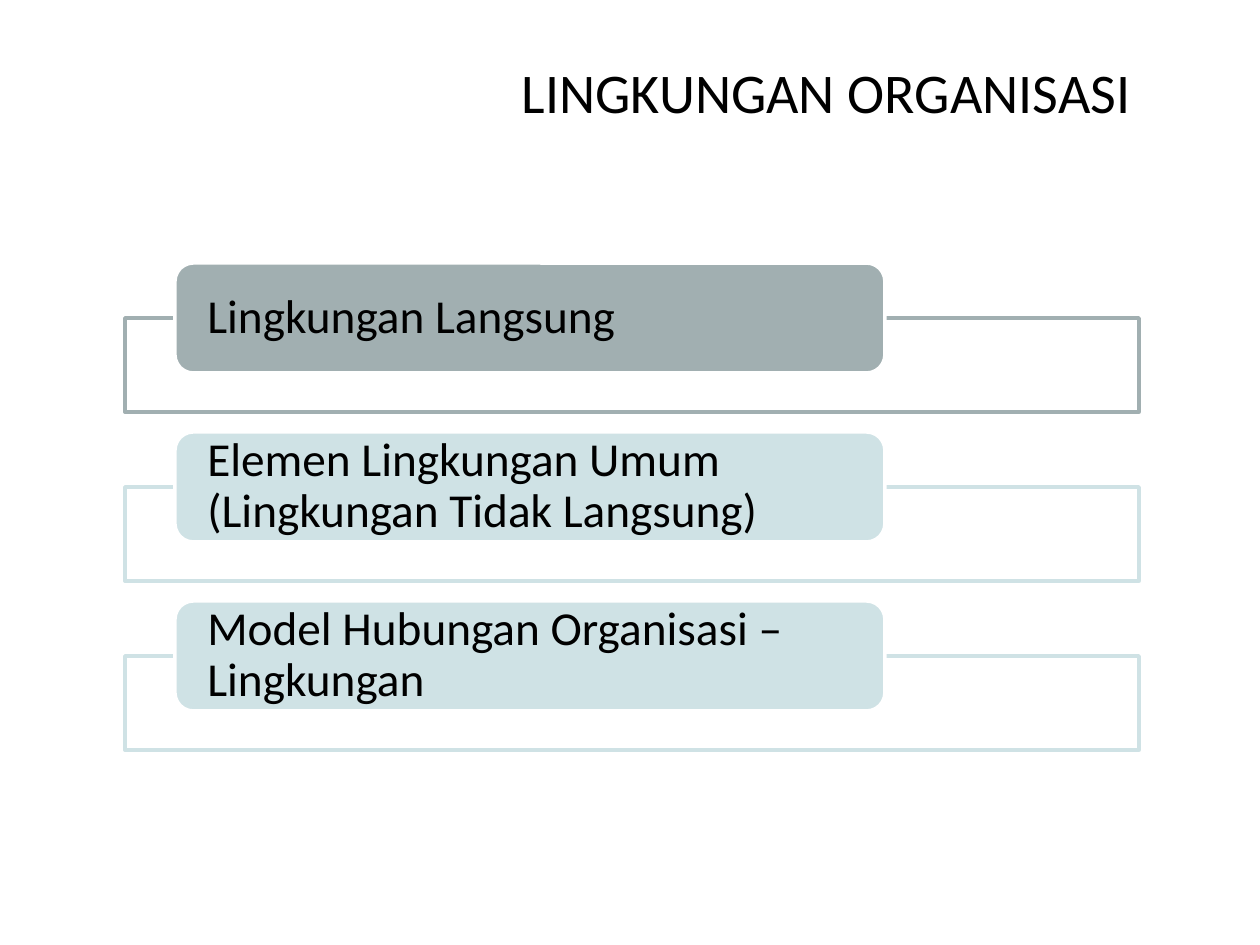
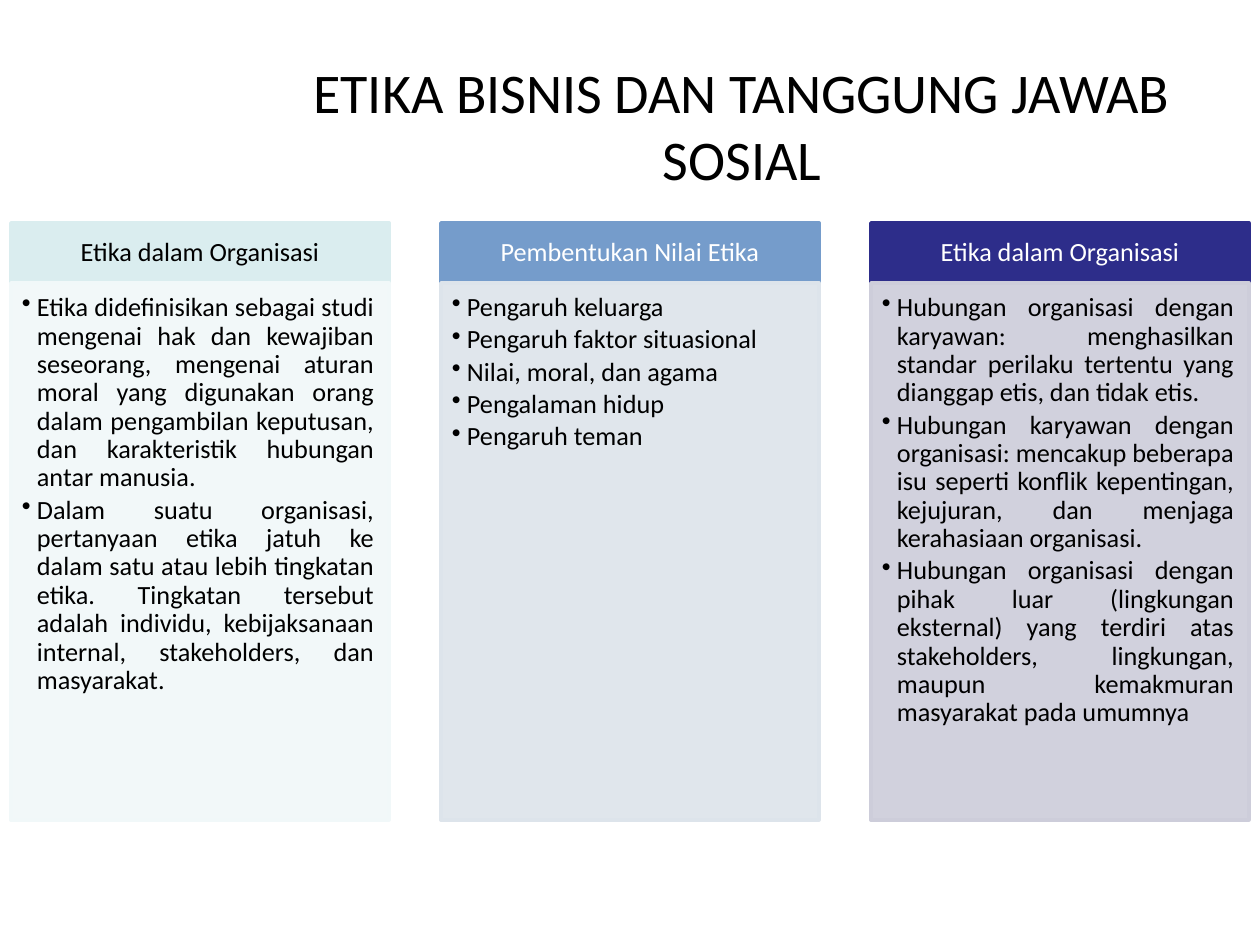
"""Build two slides on the organisation's environment and business ethics."""
from lxml import etree
from pptx import Presentation
from pptx import util as u
from pptx.dml.color import RGBColor
from pptx.enum import shapes, text
from pptx.oxml.ns import qn

PX = 7257
FONT = "Calibri"
BLACK, WHITE = "000000", "FFFFFF"
LEFT, CENTER = text.PP_ALIGN.LEFT, text.PP_ALIGN.CENTER
RIGHT, JUSTIFY = text.PP_ALIGN.RIGHT, text.PP_ALIGN.JUSTIFY
TOP, MIDDLE = text.MSO_ANCHOR.TOP, text.MSO_ANCHOR.MIDDLE
RECT, ROUNDED = shapes.MSO_SHAPE.RECTANGLE, shapes.MSO_SHAPE.ROUNDED_RECTANGLE


def panel(slide, preset, box, fill, line, opacity=100):
    shape = slide.shapes.add_shape(preset, *[n * PX for n in box])
    shape.shadow.inherit = False
    shape.fill.solid()
    shape.fill.fore_color.rgb = RGBColor.from_string(fill)
    shape.line.color.rgb = RGBColor.from_string(line)
    shape.line.width = u.Pt(2)
    if opacity < 100:
        tint = shape.fill._xPr.find(qn("a:solidFill"))[0]
        etree.SubElement(tint, qn("a:alpha"), val=str(opacity * 1000))
    return shape


def write(shape, lines, size, color, align, insets, anchor=MIDDLE, spacing=0.9, bullet=False):
    frame = shape.text_frame
    frame.word_wrap = True
    frame.auto_size = text.MSO_AUTO_SIZE.NONE
    frame.vertical_anchor = anchor
    frame.margin_left, frame.margin_top, frame.margin_right, frame.margin_bottom = [n * PX for n in insets]
    frame.text = "\n".join(lines)
    for paragraph in frame.paragraphs:
        paragraph.alignment = align
        paragraph.line_spacing = spacing
        if bullet:
            paragraph.space_after = u.Pt(2.25)
            props = paragraph._p.get_or_add_pPr()
            props.set("marL", str(15 * PX))
            props.set("indent", str(-15 * PX))
            etree.SubElement(props, qn("a:buChar"), char="•")
        for run in paragraph.runs:
            run.font.name = FONT
            run.font.size = u.Pt(size)
            run.font.color.rgb = RGBColor.from_string(color)


deck = Presentation()
deck.slide_width, deck.slide_height = u.Inches(10), u.Inches(7.5)

headings = [
    ("LINGKUNGAN ORGANISASI", 220, 25, RIGHT),
    ("ETIKA BISNIS DAN TANGGUNG JAWAB SOSIAL", 284, 59, CENTER),
]
for heading, left, top, align in headings:
    title = deck.slides.add_slide(deck.slide_layouts[5]).shapes.title
    title.left, title.top, title.width, title.height = [n * PX for n in (left, top, 916, 132)]
    write(title, [heading], 32, BLACK, align, (5, 5, 5, 5), spacing=1.0)
environment, ethics = deck.slides

topics = [
    ("Lingkungan Langsung", "A1AFB1"),
    ("Elemen Lingkungan Umum (Lingkungan Tidak Langsung)", "CFE2E5"),
    ("Model Hubungan Organisasi – Lingkungan", "CFE2E5"),
]
for row, (topic, color) in enumerate(topics):
    top = 263 + 169 * row
    panel(environment, RECT, (125, top + 55, 1014, 94), WHITE, color, 90)
    label = panel(environment, ROUNDED, (175, top, 710, 110), color, WHITE)
    write(label, [topic], 27, BLACK, LEFT, (27, 0, 27, 0))

columns = [
    ("Etika dalam Organisasi", BLACK, "DAEDEF", "F1F8F9", JUSTIFY, [
        "Etika didefinisikan sebagai studi mengenai hak dan kewajiban seseorang, mengenai aturan moral "
        "yang digunakan orang dalam pengambilan keputusan, dan karakteristik hubungan antar manusia.",
        "Dalam suatu organisasi, pertanyaan etika jatuh ke dalam satu atau lebih tingkatan etika. "
        "Tingkatan tersebut adalah individu, kebijaksanaan internal, stakeholders, dan masyarakat.",
    ]),
    ("Pembentukan Nilai Etika", WHITE, "759CCB", "DDE4EB", LEFT, [
        "Pengaruh keluarga",
        "Pengaruh faktor situasional",
        "Nilai, moral, dan agama",
        "Pengalaman hidup",
        "Pengaruh teman",
    ]),
    ("Etika dalam Organisasi", WHITE, "2D2D8A", "CDCDDA", JUSTIFY, [
        "Hubungan organisasi dengan karyawan: menghasilkan standar perilaku tertentu yang dianggap etis, "
        "dan tidak etis.",
        "Hubungan karyawan dengan organisasi: mencakup beberapa isu seperti konflik kepentingan, "
        "kejujuran, dan menjaga kerahasiaan organisasi.",
        "Hubungan organisasi dengan pihak luar (lingkungan eksternal) yang terdiri atas stakeholders, "
        "lingkungan, maupun kemakmuran masyarakat pada umumnya",
    ]),
]
for index, (heading, heading_color, band, tint, align, points) in enumerate(columns):
    left = 11 + 430 * index
    header = panel(ethics, RECT, (left, 223, 378, 60), band, band)
    write(header, [heading], 15, heading_color, CENTER, (15, 9, 15, 9))
    body = panel(ethics, RECT, (left, 283, 378, 537), tint, tint, 90)
    write(body, points, 15, BLACK, align, (11, 11, 15, 16), TOP, bullet=True)

deck.save("out.pptx")
